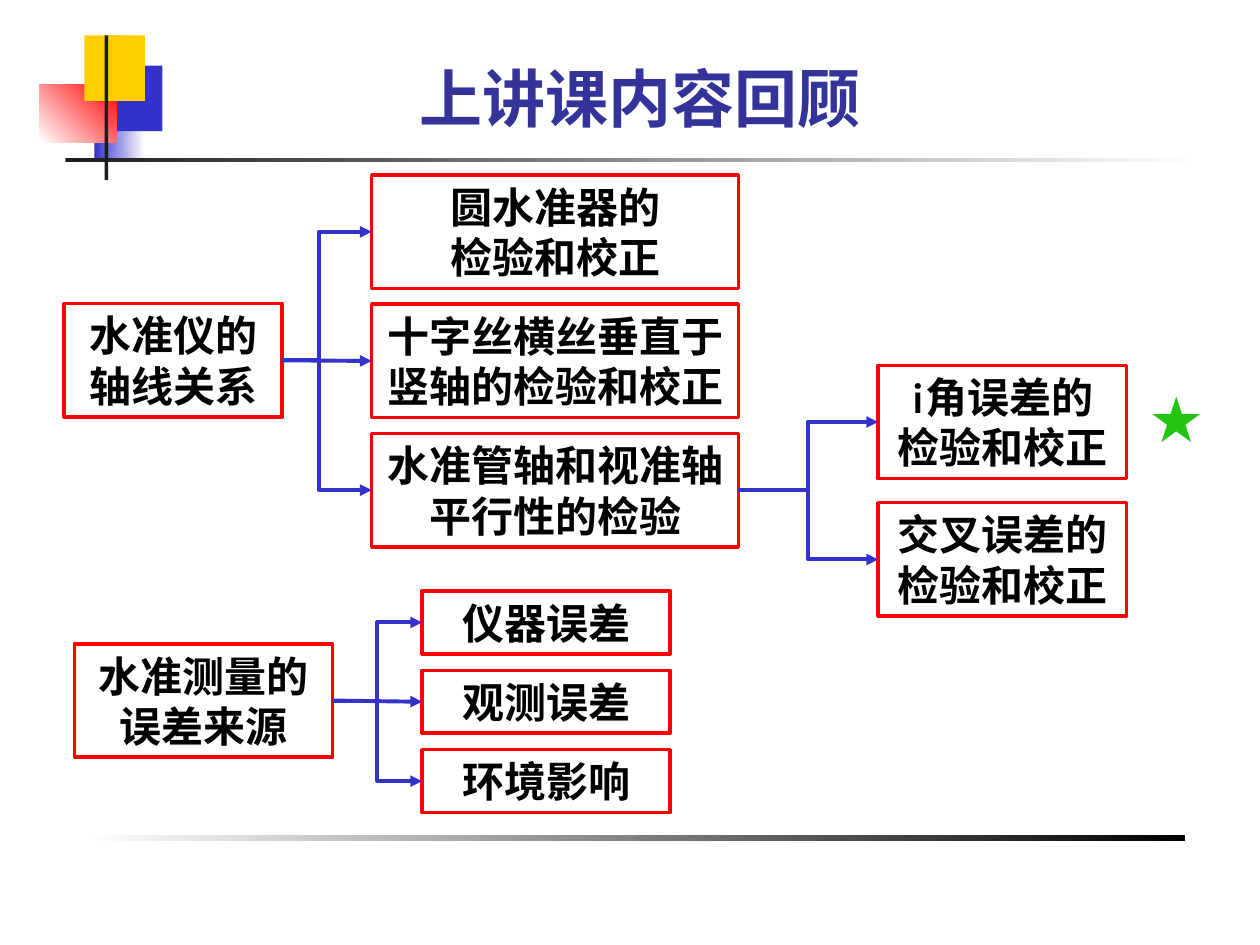
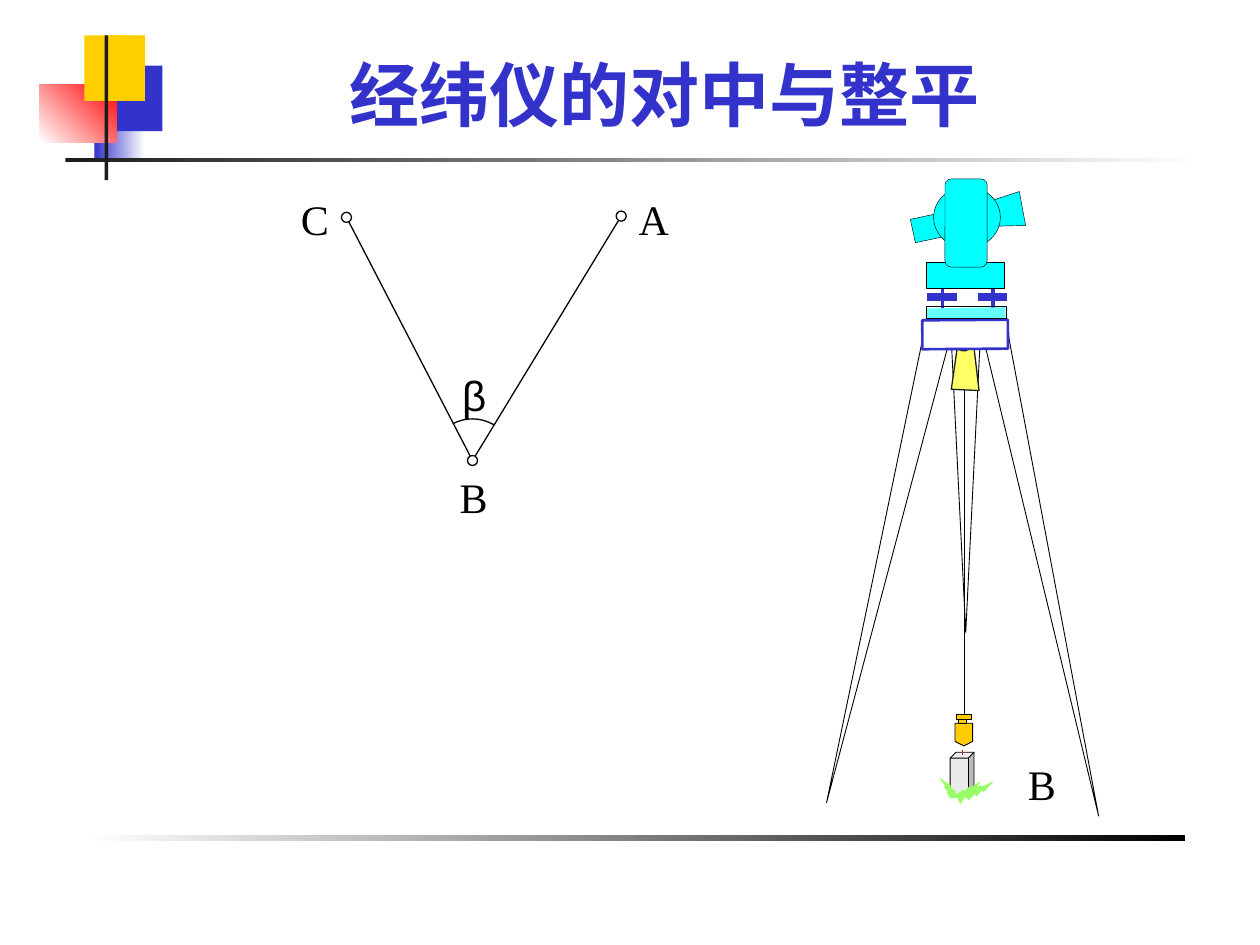
import math
from dataclasses import dataclass
from typing import NamedTuple, Optional, Union

from lxml import etree
from pptx import Presentation
from pptx.dml.color import RGBColor
from pptx.enum import shapes as kinds
from pptx.enum import text as txt
from pptx.oxml import ns
from pptx.util import Inches, Length, Pt

RECT = kinds.MSO_SHAPE.RECTANGLE
OVAL = kinds.MSO_SHAPE.OVAL
LEG = kinds.MSO_SHAPE.FLOWCHART_MERGE
BOLT = kinds.MSO_SHAPE.LIGHTNING_BOLT
STRAIGHT = kinds.MSO_CONNECTOR.STRAIGHT
ELBOW = kinds.MSO_CONNECTOR.ELBOW


@dataclass(frozen=True)
class Theme:
    ink: str = "000000"
    charcoal: str = "1C1C1C"
    paper: str = "FFFFFF"
    blue: str = "3333CC"
    navy: str = "333399"
    yellow: str = "FFCF01"
    red: str = "FF0000"
    star: str = "23C412"
    cyan: str = "00FFFF"
    pale_cyan: str = "66FFFF"
    grass: str = "99FF66"
    brass: str = "FFCC00"
    funnel: str = "FFFF66"
    stone: str = "EAEAEA"
    body_font: str = "Karla"
    title_font: str = "Noto Sans CJK SC"
    label_font: str = "Times New Roman"
    greek_font: str = "Arial"
    body_size: int = 24
    title_size: int = 36
    big_title_size: int = 40


T = Theme()

# Grid: 100 columns by 75 rows over the whole slide
SLIDE_W, SLIDE_H = Inches(10), Inches(7.5)
COLS, ROWS = 100, 75


def col(n: float) -> Length:
    return Length(round(SLIDE_W * n / COLS))


def row(n: float) -> Length:
    return Length(round(SLIDE_H * n / ROWS))


class Area(NamedTuple):
    x: float
    y: float
    w: float
    h: float

    def emu(self) -> tuple:
        return col(self.x), row(self.y), col(self.w), row(self.h)


class Fade(NamedTuple):
    start: str
    end: str
    angle: float = 0


@dataclass(frozen=True)
class Part:
    area: Area
    fill: Union[str, Fade, None] = None
    line: Optional[str] = None
    weight: float = 0.5
    kind: int = RECT
    turn: float = 0
    adjust: tuple = ()


@dataclass(frozen=True)
class Stroke:
    start: tuple
    end: tuple
    color: str = T.ink
    weight: float = 0.25


@dataclass(frozen=True)
class Outline:
    points: tuple
    fill: str
    line: str
    weight: float


@dataclass(frozen=True)
class Label:
    words: str
    area: Area
    font: str = T.label_font
    size: int = T.body_size
    color: str = T.ink


# Drawing functions
def paint(shape, fill, line: Optional[str], weight: float) -> None:
    shape.shadow.inherit = False
    if isinstance(fill, Fade):
        shape.fill.gradient()
        shape.fill.gradient_angle = fill.angle
        for stop, color in zip(shape.fill.gradient_stops, (fill.start, fill.end)):
            stop.color.rgb = RGBColor.from_string(color)
    elif fill:
        shape.fill.solid()
        shape.fill.fore_color.rgb = RGBColor.from_string(fill)
    else:
        shape.fill.background()
    if line:
        shape.line.color.rgb = RGBColor.from_string(line)
        shape.line.width = Pt(weight)
    else:
        shape.line.fill.background()


def draw_part(slide, part: Part):
    shape = slide.shapes.add_shape(part.kind, *part.area.emu())
    for i, value in enumerate(part.adjust):
        shape.adjustments[i] = value
    shape.rotation = part.turn
    paint(shape, part.fill, part.line, part.weight)
    return shape


def style_connector(connector, color: str, weight: float, arrow: bool = False) -> None:
    connector.line.color.rgb = RGBColor.from_string(color)
    connector.line.width = Pt(weight)
    if arrow:
        etree.SubElement(connector.line._get_or_add_ln(), ns.qn("a:tailEnd"), type="triangle")
    etree.SubElement(connector.element.spPr, ns.qn("a:effectLst"))


def draw_stroke(slide, stroke: Stroke) -> None:
    (x1, y1), (x2, y2) = stroke.start, stroke.end
    connector = slide.shapes.add_connector(STRAIGHT, col(x1), row(y1), col(x2), row(y2))
    style_connector(connector, stroke.color, stroke.weight)


def draw_outline(slide, outline: Outline) -> None:
    first, *rest = [(col(x), row(y)) for x, y in outline.points]
    builder = slide.shapes.build_freeform(*first)
    builder.add_line_segments(rest, close=True)
    paint(builder.convert_to_shape(), outline.fill, outline.line, outline.weight)


def add_run(paragraph, words: str, font: str, size: int, color: str, bold: bool = False) -> None:
    run = paragraph.add_run()
    run.text = words
    run.font.name, run.font.size, run.font.bold = font, Pt(size), bold
    run.font.color.rgb = RGBColor.from_string(color)
    etree.SubElement(run.font._element, ns.qn("a:ea"), typeface=font)


def draw_label(slide, label: Label) -> None:
    frame = slide.shapes.add_textbox(*label.area.emu()).text_frame
    frame.word_wrap = False
    add_run(frame.paragraphs[0], label.words, label.font, label.size, label.color)


DRAW = {Part: draw_part, Stroke: draw_stroke, Outline: draw_outline, Label: draw_label}


def draw_all(slide, items) -> None:
    for item in items:
        DRAW[type(item)](slide, item)


def draw_topic(slide, words: str, area: Area):
    topic = draw_part(slide, Part(area, line=T.red, weight=2))
    frame = topic.text_frame
    frame.word_wrap = True
    frame.vertical_anchor = txt.MSO_ANCHOR.TOP
    for i, line in enumerate(words.split("\n")):
        paragraph = frame.add_paragraph() if i else frame.paragraphs[0]
        paragraph.alignment = txt.PP_ALIGN.CENTER
        add_run(paragraph, line, T.body_font, T.body_size, T.ink, True)
    return topic


def join(slide, parent, child, bend: float) -> None:
    x1, y1 = parent.left + parent.width, parent.top + parent.height // 2
    x2, y2 = child.left, child.top + child.height // 2
    level = abs(y1 - y2) < row(0.2)
    link = slide.shapes.add_connector(STRAIGHT if level else ELBOW, x1, y1, x2, y2)
    link.begin_connect(parent, 3)
    link.end_connect(child, 1)
    if not level:
        guides = link.element.spPr.find(ns.qn("a:prstGeom")).get_or_add_avLst()
        etree.SubElement(guides, ns.qn("a:gd"), name="adj1", fmla=f"val {round(bend * 100000)}")
    style_connector(link, T.blue, 2.25, arrow=True)


def set_title(slide, words: str, area: Area, font: str, size: int, color: str, anchor) -> None:
    title = slide.shapes.title
    title.left, title.top, title.width, title.height = area.emu()
    frame = title.text_frame
    frame.auto_size, frame.word_wrap = txt.MSO_AUTO_SIZE.NONE, True
    frame.vertical_anchor = anchor
    frame.paragraphs[0].alignment = txt.PP_ALIGN.CENTER
    add_run(frame.paragraphs[0], words, font, size, color, True)


# Shared decoration: coloured squares, header rule and footer rule
DECORATION = (
    Part(Area(7.5, 7.6, 4, 5.2), Fade(T.blue, T.paper)),
    Part(Area(8.3, 2.8, 3.6, 5.2), Fade(T.yellow, T.paper)),
    Part(Area(8.3, 5.2, 4.6, 5.2), T.blue),
    Part(Area(3.15, 6.7, 6.1, 4.6), Fade(T.paper, T.red, 45)),
    Part(Area(5.2, 12.5, 90, 0.35), Fade(T.charcoal, T.paper)),
    Part(Area(6.7, 66.2, 87.4, 0.6), Fade(T.paper, T.ink), T.paper, 1),
    Part(Area(6.7, 2.8, 4.8, 5.2), T.yellow),
    Part(Area(8.3, 2.8, 0.3, 11.5), T.charcoal),
)


def decorate(layout, slide) -> None:
    for part in DECORATION:
        layout.shapes.element.append(draw_part(slide, part).element)


# Slide 1: review of the last lecture
def build_review(slide) -> None:
    set_title(slide, "上讲课内容回顾", Area(12.2, 3.6, 77.2, 7.6), T.body_font,
              T.title_size, T.navy, txt.MSO_ANCHOR.BOTTOM)
    tall, short = 9, 5
    axes = draw_topic(slide, "水准仪的轴线关系", Area(5.1, 24.1, 17.3, tall))
    checks = [draw_topic(slide, words, Area(29.5, 13.9 + 10.25 * i, 29.1, tall))
              for i, words in enumerate(("圆水准器的\n检验和校正", "十字丝横丝垂直于竖轴的检验和校正",
                                         "水准管轴和视准轴平行性的检验"))]
    angles = [draw_topic(slide, words, Area(69.7, 29 + 10.9 * i, 19.7, tall))
              for i, words in enumerate(("i角误差的检验和校正", "交叉误差的检验和校正"))]
    sources = draw_topic(slide, "水准测量的误差来源", Area(5.9, 51.1, 20.5, tall))
    errors = [draw_topic(slide, words, Area(33.5, 46.9 + 6.3 * i, 19.7, short))
              for i, words in enumerate(("仪器误差", "观测误差", "环境影响"))]
    for parent, children, bend in ((axes, checks, 0.41), (checks[-1], angles, 0.5),
                                   (sources, errors, 0.5)):
        for child in children:
            join(slide, parent, child, bend)
    draw_label(slide, Label("★", Area(90.2, 29.6, 7.1, 7), T.body_font, T.title_size, T.star))


# Slide 2: the instrument on its tripod over point B
def foot_screw(x: float) -> tuple:
    return (Stroke((x, 22.9), (x, 25.3), T.blue, 2.25),
            Stroke((x - 1.2, 23.6), (x + 1.15, 23.6), T.blue, 4.5))


INSTRUMENT = (
    # Tripod legs
    Part(Area(75.5, 26.9, 2.3, 23.3), T.paper, T.ink, kind=LEG),
    Part(Area(82.1, 26.1, 2, 39.1), T.paper, T.ink, kind=LEG, turn=347.9),
    Part(Area(68.9, 26.4, 2.1, 37.8), T.paper, T.ink, kind=LEG, turn=13.3),
    # Telescope
    Outline(((80.9, 15.2), (76.6, 16.6), (76.9, 18), (81.4, 17.9)), T.cyan, T.ink, 0.25),
    Part(Area(72.4, 16.9, 4.7, 1.9), T.cyan, T.ink, 0.25, turn=347.9),
    Part(Area(74.1, 14.8, 5.3, 4.9), T.cyan, T.ink, 0.25, OVAL),
    # Ground mark in the grass
    Part(Area(75.4, 59.7, 1.9, 3.5), T.stone, T.ink, kind=kinds.MSO_SHAPE.CUBE),
    Part(Area(76.8, 61.7, 1.7, 2.1), T.grass, T.grass, 0.25, BOLT, 277.5),
    Part(Area(74.4, 62, 2, 1.3), T.grass, T.grass, 0.25, BOLT, 195.2),
    Part(Area(75.9, 62, 1.9, 1.8), T.grass, T.grass, 0.25, BOLT, 273.8),
    # Plumb line and bob
    Stroke((76.5, 27.2), (76.5, 56.9)),
    Part(Area(75.8, 57.4, 1.4, 1.8), T.brass, T.ink,
         kind=kinds.MSO_SHAPE.FLOWCHART_OFFPAGE_CONNECTOR),
    Part(Area(76.1, 57.1, 0.6, 0.3), T.brass, T.ink),
    Part(Area(75.9, 56.7, 1.2, 0.4), T.brass, T.ink),
    *foot_screw(78.8),
    Outline(((77.7, 31), (77.2, 26.7), (76.1, 26.7), (75.5, 30.9)), T.funnel, T.charcoal, 0.75),
    Stroke((76.4, 59.5), (76.4, 59.9), "FC0000", 0.75),
    *foot_screw(74.8),
    # Body, tripod head and base plate
    Part(Area(73.5, 20.8, 6.2, 2.1), T.cyan, T.ink, 0.25),
    Part(Area(75, 14.2, 3.35, 7), T.cyan, T.ink, 0.25, kinds.MSO_SHAPE.ROUNDED_RECTANGLE,
         adjust=(0.15,)),
    Part(Area(75.9, 26.7, 1.2, 1.1), "CC3300", T.charcoal, 1.5, OVAL, 351.5),
    Part(Area(73.2, 25.4, 6.8, 2.3), T.paper, T.blue, 1.5, turn=359.6),
    Stroke((73.5, 24.9), (79.8, 24.8), T.pale_cyan, 6),
    Part(Area(73.5, 24.3, 6.4, 1), line=T.ink, weight=0.25),
    Label("B", Area(80.6, 59.7, 4.2, 5)),
)

POINT_A, POINT_B, POINT_C = (49.3, 17.15), (37.5, 36.55), (27.5, 17.25)


def direction(target: tuple) -> float:
    """Clockwise degrees from B to the target, in the scale of arc adjustments."""
    angle = math.atan2(target[1] - POINT_B[1], target[0] - POINT_B[0])
    return math.degrees(angle) % 360 * 0.6


def around(point: tuple, radius: float) -> Area:
    return Area(point[0] - radius, point[1] - radius, 2 * radius, 2 * radius)


ANGLE = (
    *(Stroke(POINT_B, end, weight=0.75) for end in (POINT_C, POINT_A)),
    Part(around(POINT_B, 3.3), line=T.ink, weight=0.75, kind=kinds.MSO_SHAPE.ARC,
         adjust=(direction(POINT_C), direction(POINT_A))),
    *(Part(around(point, 0.4), T.paper, T.ink, 0.75, OVAL)
      for point in (POINT_C, POINT_A, POINT_B)),
    Label("B", Area(35.5, 36.9, 4.2, 5)),
    Label("C", Area(22.9, 14.9, 4.2, 5)),
    Label("A", Area(49.7, 14.9, 4.4, 5)),
    Label("β", Area(35.7, 28.8, 3.8, 5), T.greek_font),
)


def build_centring(slide) -> None:
    set_title(slide, "经纬仪的对中与整平", Area(12.2, 3.6, 81.1, 7.6), T.title_font,
              T.big_title_size, T.blue, txt.MSO_ANCHOR.MIDDLE)
    draw_all(slide, INSTRUMENT + ANGLE)


def main() -> None:
    deck = Presentation()
    deck.slide_width, deck.slide_height = SLIDE_W, SLIDE_H
    layout = deck.slide_layouts[5]
    review, centring = (deck.slides.add_slide(layout) for _ in range(2))
    decorate(layout, review)
    build_review(review)
    build_centring(centring)
    deck.save("out.pptx")


if __name__ == "__main__":
    main()
